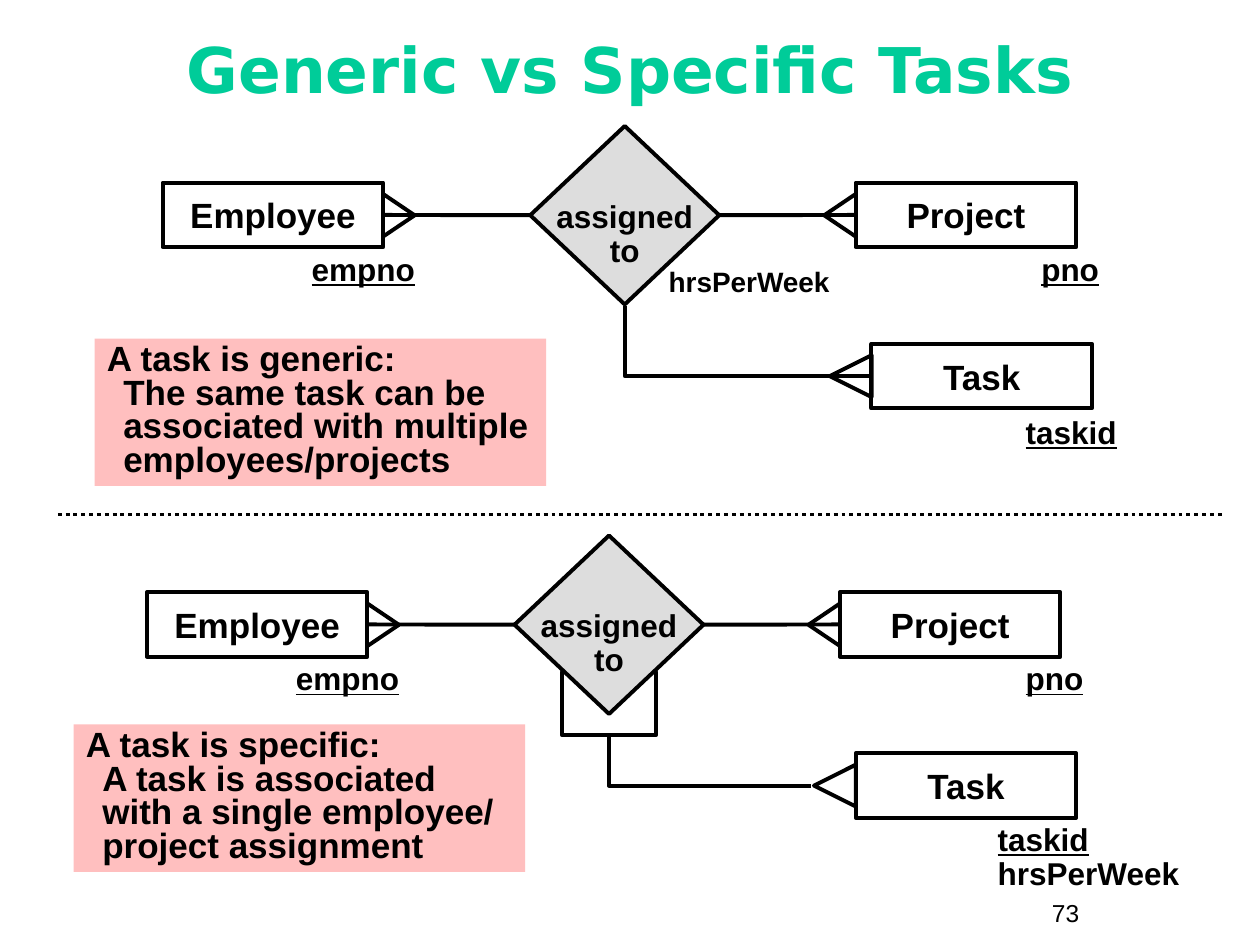
from lxml import etree
from pptx import Presentation
from pptx.dml.color import RGBColor
from pptx.enum.dml import MSO_LINE
from pptx.enum.shapes import MSO_CONNECTOR as LINK, MSO_SHAPE as SHAPE
from pptx.enum.text import MSO_ANCHOR as ANCHOR, PP_ALIGN as ALIGN
from pptx.oxml.ns import qn
from pptx.util import Inches, Pt

COLORS = {"ink": "000000", "title": "00CC99", "diamond": "DDDDDD", "note": "FFBFBF"}

presentation = Presentation()
presentation.slide_width, presentation.slide_height = Inches(10), Inches(7.5)
COLUMN = presentation.slide_width / 80
ROW = presentation.slide_height / 60
slide = presentation.slides.add_slide(presentation.slide_layouts[5])
shapes = slide.shapes


def grid(*lengths):
    return [round(length * unit) for length, unit in zip(lengths, (COLUMN, ROW) * 2)]


def write(shape, lines, size, spacing=1.0, align=ALIGN.LEFT, anchor=ANCHOR.TOP,
          wrap=True, bold=True, underlined=(), color="ink", font="Arial"):
    frame = shape.text_frame
    margins = {"margin_left": 0.1, "margin_right": 0.1, "margin_top": 0.05, "margin_bottom": 0.05}
    for name, value in margins.items():
        setattr(frame, name, Inches(value))
    frame.word_wrap, frame.vertical_anchor = wrap, anchor
    frame.text = "\n".join(lines)
    for index, paragraph in enumerate(frame.paragraphs):
        paragraph.alignment, paragraph.line_spacing = align, spacing
        paragraph.space_before = Pt(0)
        formats = {"name": font, "size": Pt(size), "bold": bold, "underline": index in underlined}
        for name, value in formats.items():
            setattr(paragraph.font, name, value)
        paragraph.font.color.rgb = RGBColor.from_string(COLORS[color])


title = shapes.title
title.left, title.top, title.width, title.height = grid(2.67, 0.67, 74.67, 7.33)
write(title, ["Generic vs Specific Tasks"], 36, align=ALIGN.CENTER, anchor=ANCHOR.MIDDLE,
      color="title", font="DejaVu Sans")

outlined, links = [], []
for x, y, specific in [(0, 0, False), (-1, 26, True)]:
    if specific:
        loop = shapes.add_shape(SHAPE.RECTANGLE, *grid(x + 36.67, y + 16.67, 6, 4))
        loop.fill.background()
        outlined.append(loop)

    diamond = shapes.add_shape(SHAPE.FLOWCHART_DECISION, *grid(x + 33.67, y + 8, 12, 11.33))
    diamond.fill.solid()
    diamond.fill.fore_color.rgb = RGBColor.from_string(COLORS["diamond"])
    write(diamond, ["assigned\vto"], 18, spacing=0.9, align=ALIGN.CENTER, wrap=False)
    diamond.text_frame.margin_top, diamond.text_frame.margin_bottom = Inches(0.24), 0
    outlined.append(diamond)

    entities = {}
    for name, left, top in [("Employee", 10.33, 11.6), ("Project", 54.33, 11.6), ("Task", 55.33, 21.83)]:
        entity = shapes.add_shape(SHAPE.RECTANGLE, *grid(x + left, y + top, 14, 4.1))
        entity.fill.background()
        write(entity, [name], 20, align=ALIGN.CENTER, anchor=ANCHOR.MIDDLE, wrap=False)
        entities[name] = entity
        outlined.append(entity)

    for name, entity_side, diamond_side, edge, tip in [
        ("Employee", 3, 1, 24.33, 26.33),
        ("Project", 1, 3, 54.33, 52.33),
    ]:
        link = shapes.add_connector(LINK.STRAIGHT, 0, 0, 0, 0)
        link.begin_connect(diamond, diamond_side)
        link.end_connect(entities[name], entity_side)
        links.append(link)
        for toe in (-1.35, 1.35):
            links.append(shapes.add_connector(
                LINK.STRAIGHT, *grid(x + tip, y + 13.67, x + edge, y + 13.67 + toe)))

    start, end = (20.8, 52.5) if specific else (19.4, 55.2)
    corner = [(x + 39.67, y + start), (x + 39.67, y + 23.88), (x + end, y + 23.88)]
    points = [grid(*point) for point in corner]
    builder = shapes.build_freeform(*points[0])
    builder.add_line_segments(points[1:], close=False)
    task_link = builder.convert_to_shape()
    task_foot = shapes.add_shape(SHAPE.FLOWCHART_EXTRACT, *grid(x + 52.68, y + 22.55, 2.66, 2.66))
    task_foot.rotation = 270
    for shape in (task_link, task_foot):
        shape.fill.background()
        outlined.append(shape)

    for name, left in [("empno", 19), ("pno", 65.33)]:
        key = shapes.add_textbox(*grid(x + left, y + 15.84, 10, 2.9))
        write(key, [name], 18, spacing=0.85, underlined=[0])

for lines, size, underlined, place in [
    (["hrsPerWeek"], 16, [], (41.67, 16.67, 12, 2.72)),
    (["taskid"], 18, [0], (64.33, 26.08, 8, 2.96)),
    (["taskid", "hrsPerWeek"], 18, [0], (62.56, 51.92, 14, 5.12)),
]:
    write(shapes.add_textbox(*grid(*place)), lines, size, spacing=0.9, underlined=underlined)

for text, left, top in [
    ("A task is generic:\vThe same task can be associated with multiple employees/projects", 6, 21.5),
    ("A task is specific:\vA task is associated with a single employee/ project assignment", 4.67, 46),
]:
    note = shapes.add_shape(SHAPE.RECTANGLE, *grid(left, top, 28.67, 9.36))
    note.shadow.inherit = False
    note.fill.solid()
    note.fill.fore_color.rgb = RGBColor.from_string(COLORS["note"])
    note.line.fill.background()
    write(note, [text], 20, spacing=0.8)
    properties = note.text_frame.paragraphs[0]._p.get_or_add_pPr()
    for name, value in {"marL": 0.13, "indent": -0.13}.items():
        properties.set(name, str(Inches(value)))

divider = shapes.add_connector(LINK.STRAIGHT, *grid(3.67, 32.67, 77.67, 32.67))
divider.line.dash_style = MSO_LINE.ROUND_DOT
links.append(divider)

for shape in outlined:
    shape.shadow.inherit = False
for link in links:
    etree.SubElement(link._element.spPr, qn("a:effectLst"))
for shape in outlined + links:
    shape.line.width = Pt(2.25)
    shape.line.color.rgb = RGBColor.from_string(COLORS["ink"])

page_number = shapes.add_textbox(*grid(66, 56.64, 7.36, 2.72))
write(page_number, ["73"], 14, bold=False)

presentation.save("out.pptx")
